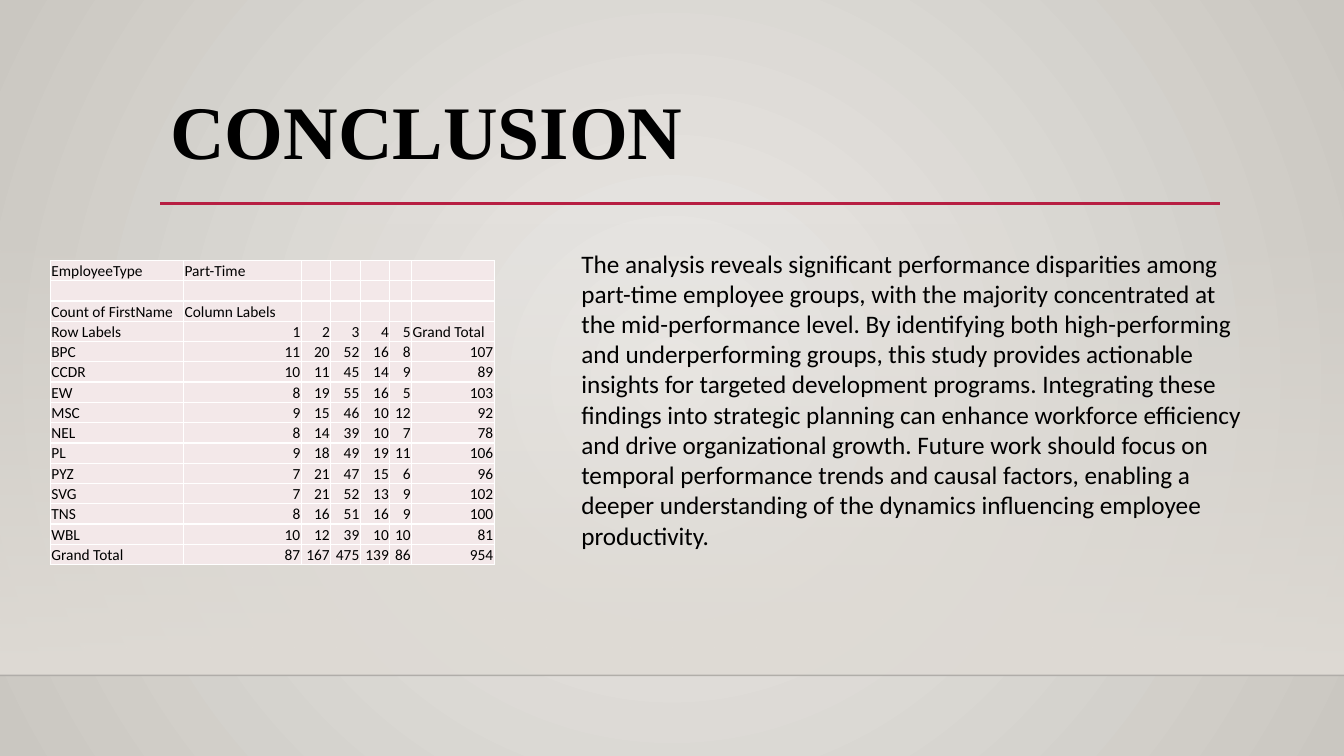
"""Build the conclusion slide with its pivot table and summary."""
from dataclasses import dataclass

from lxml.etree import SubElement as Sub
from pptx import Presentation
from pptx.dml.color import RGBColor as RGB
from pptx.enum.shapes import MSO_CONNECTOR as Link, MSO_SHAPE as Form
from pptx.enum.text import MSO_ANCHOR as Anchor, MSO_AUTO_SIZE as Auto, PP_ALIGN as Align
from pptx.oxml import parse_xml
from pptx.oxml.ns import nsdecls, qn
from pptx.util import Pt

WIDE, HIGH = 960, 540
INK, PINK, WHITE = "000000", "F3E8E9", "FFFFFF"
COLS = [95.2, 84, 21.1, 21.1, 21.1, 15.6, 59]
ROW = 14.5
GRID = [line.split("|") for line in """EmployeeType|Part-Time|||||
||||||
Count of FirstName|Column Labels|||||
Row Labels|1|2|3|4|5|Grand Total
BPC|11|20|52|16|8|107
CCDR|10|11|45|14|9|89
EW|8|19|55|16|5|103
MSC|9|15|46|10|12|92
NEL|8|14|39|10|7|78
PL|9|18|49|19|11|106
PYZ|7|21|47|15|6|96
SVG|7|21|52|13|9|102
TNS|8|16|51|16|9|100
WBL|10|12|39|10|10|81
Grand Total|87|167|475|139|86|954""".split("\n")]
SUMMARY = (
    "The analysis reveals significant performance disparities among part-time "
    "employee groups, with the majority concentrated at the mid-performance level. "
    "By identifying both high-performing and underperforming groups, this study "
    "provides actionable insights for targeted development programs. Integrating "
    "these findings into strategic planning can enhance workforce efficiency and "
    "drive organizational growth. Future work should focus on temporal performance "
    "trends and causal factors, enabling a deeper understanding of the dynamics "
    "influencing employee productivity."
)
HEAD = {"name": "Times New Roman", "size": Pt(54), "bold": True}
BODY = {"name": "Calibri", "size": Pt(18)}
SMALL = {"name": "Calibri", "size": Pt(11)}
INSET = {"margin_left": Pt(0.7), "margin_right": Pt(0.7), "margin_top": Pt(0.7),
         "margin_bottom": Pt(0), "vertical_anchor": Anchor.BOTTOM}


@dataclass
class Rule:
    left: float
    right: float
    top: float
    hue: str
    width: float
    alpha: int = 100


RULES = [Rule(0, WIDE, 482.4, "000001", 1, 20),
         Rule(114.5, 871.2, 145.4, "B71E42", 2.5)]


def tint(color, hue: str) -> None:
    color.rgb = RGB.from_string(hue)


def apply(item, form: dict) -> None:
    for key, value in form.items():
        setattr(item, key, value)


def write(frame, text: str, form: dict):
    para = frame.paragraphs[0]
    run = para.add_run()
    run.text = text
    apply(run.font, form)
    tint(run.font.color, INK)
    return para


def blend(stops: list, shade: str):
    marks = "".join(
        f'<a:gs pos="{pos * 1000}"><a:srgbClr val="{hue}">'
        f'<a:alpha val="{alpha * 1000}"/></a:srgbClr></a:gs>'
        for pos, hue, alpha in stops)
    return parse_xml(f'<a:gradFill {nsdecls("a")} rotWithShape="1">'
                     f"<a:gsLst>{marks}</a:gsLst>{shade}</a:gradFill>")


def swap(parent, fill) -> None:
    old = parent.find(qn("a:solidFill"))
    parent.replace(old, fill)


def paint(slide) -> None:
    slide.background.fill.solid()
    shade = ('<a:path path="circle"><a:fillToRect l="50000" t="50000" '
             'r="50000" b="50000"/></a:path>')
    swap(slide.element.xpath(".//p:bgPr")[0],
         blend([(0, "ECEAE7", 100), (100, "CAC7C1", 100)], shade))
    band = slide.shapes.add_shape(Form.RECTANGLE, 0, Pt(159.1), Pt(WIDE), Pt(323.3))
    band.shadow.inherit = False
    band.line.fill.background()
    band.fill.solid()
    swap(band.element.spPr, blend([(0, "DFDBD5", 0), (100, "DFDBD5", 100)],
                                  '<a:lin ang="5400000" scaled="0"/>'))


def draw(slide, rule: Rule) -> None:
    line = slide.shapes.add_connector(Link.STRAIGHT, Pt(rule.left), Pt(rule.top),
                                      Pt(rule.right), Pt(rule.top))
    line.line.width = Pt(rule.width)
    tint(line.line.color, rule.hue)
    if rule.alpha < 100:
        hue = line.element.xpath(".//a:ln//a:srgbClr")[0]
        Sub(hue, qn("a:alpha"), val=str(rule.alpha * 1000))
    Sub(line.element.spPr, qn("a:effectLst"))


def edge(cell) -> None:
    props = cell._tc.get_or_add_tcPr()
    for side in "LRTB":
        line = Sub(props, qn(f"a:ln{side}"), w=str(Pt(1)))
        Sub(Sub(line, qn("a:solidFill")), qn("a:srgbClr"), val=WHITE)


def fill(cell, text: str) -> None:
    apply(cell, INSET)
    edge(cell)
    cell.fill.solid()
    tint(cell.fill.fore_color, PINK)
    if text:
        para = write(cell.text_frame, text, SMALL)
        para.alignment = Align.RIGHT if text.isdigit() else Align.LEFT
    else:
        Sub(cell.text_frame.paragraphs[0]._p, qn("a:endParaRPr"), sz="1100")


def tally(slide) -> None:
    table = slide.shapes.add_table(len(GRID), len(COLS), Pt(36), Pt(186),
                                   Pt(sum(COLS)), Pt(ROW * len(GRID))).table
    apply(table, {"first_row": False, "horz_banding": False})
    for col, width in zip(table.columns, COLS):
        col.width = Pt(width)
    for row, texts in zip(table.rows, GRID):
        row.height = Pt(ROW)
        for cell, text in zip(row.cells, texts):
            fill(cell, text)


def main() -> None:
    deck = Presentation()
    apply(deck, {"slide_width": Pt(WIDE), "slide_height": Pt(HIGH)})
    slide = deck.slides.add_slide(deck.slide_layouts[5])
    paint(slide)
    for rule in RULES:
        draw(slide, rule)

    title = slide.shapes.title
    apply(title, {"left": Pt(114.5), "top": Pt(63.4),
                  "width": Pt(756), "height": Pt(82.8)})
    apply(title.text_frame, {"vertical_anchor": Anchor.TOP, "word_wrap": True,
                             "auto_size": Auto.NONE})
    para = write(title.text_frame, "CONCLUSION", HEAD)
    apply(para, {"alignment": Align.LEFT, "line_spacing": 0.9})

    tally(slide)
    box = slide.shapes.add_textbox(Pt(408.2), Pt(173.5), Pt(491.8), Pt(225.4))
    apply(box.text_frame, {"word_wrap": True, "auto_size": Auto.SHAPE_TO_FIT_TEXT})
    write(box.text_frame, SUMMARY, BODY)
    deck.save("out.pptx")


if __name__ == "__main__":
    main()
